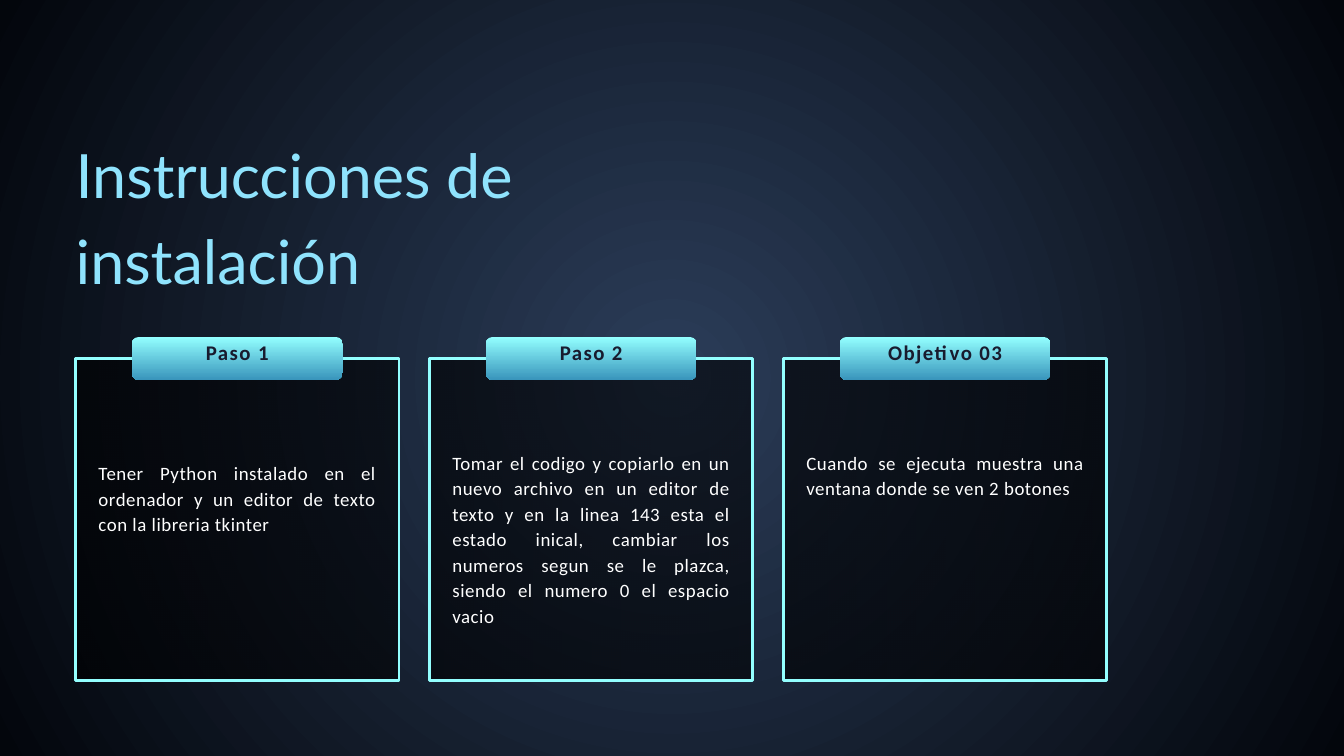
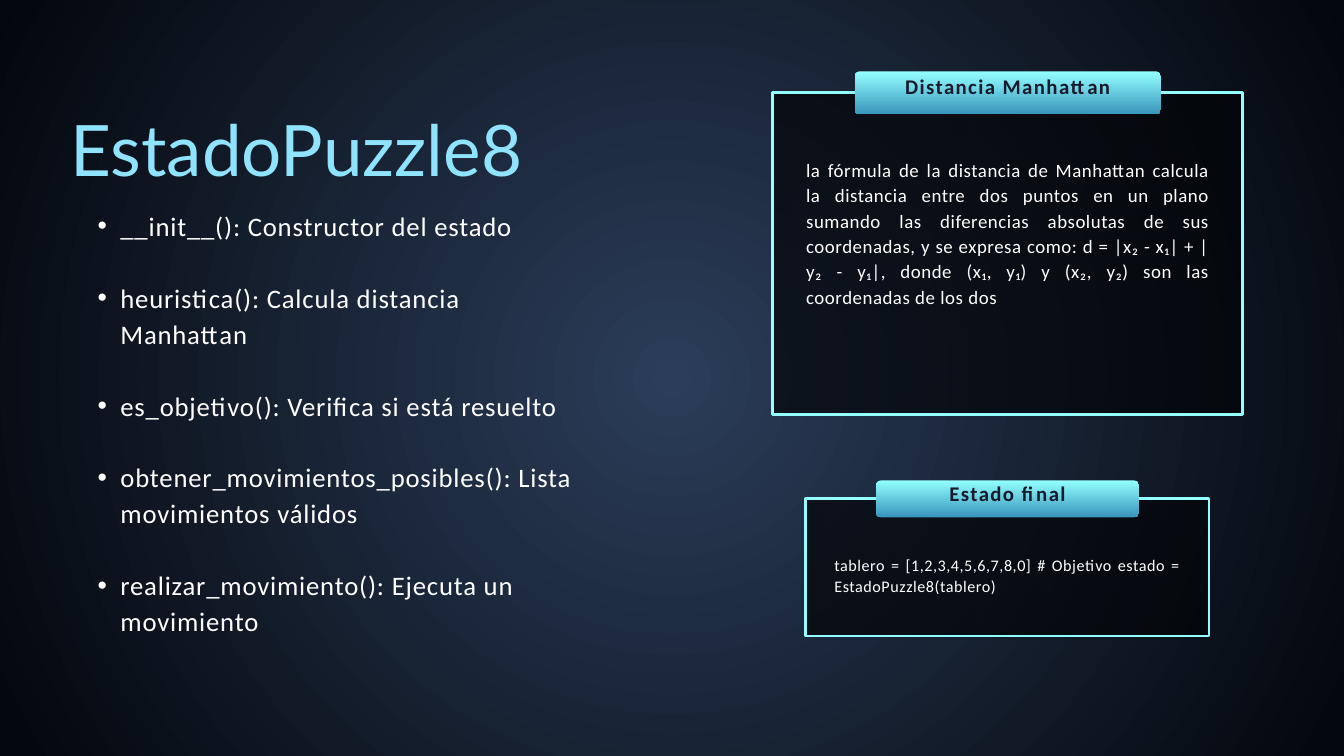
import pptx
import pptx.util
import pptx.dml.color
import pptx.enum.lang
import pptx.enum.shapes
import pptx.enum.text
import pptx.oxml
import pptx.oxml.ns

Pt = pptx.util.Pt
RGB = pptx.dml.color.RGBColor
ALIGN = pptx.enum.text.PP_ALIGN
ANCHOR = pptx.enum.text.MSO_ANCHOR
SHAPE = pptx.enum.shapes.MSO_SHAPE
qn = pptx.oxml.ns.qn

NAVY = RGB(0x2B, 0x3D, 0x59)
NIGHT = RGB(0x03, 0x06, 0x0C)
COAL = RGB(0x00, 0x01, 0x02)
BLACK = RGB(0, 0, 0)
CYAN = RGB(0x93, 0xFF, 0xFF)
BLUE = RGB(0x39, 0x95, 0xBC)
SKY = RGB(0x8F, 0xE3, 0xFD)
INK = RGB(0x18, 0x1B, 0x2E)
WHITE = RGB(255, 255, 255)

STEPS = [
    ("Paso 1", "Tener Python instalado en el ordenador y un editor de texto "
     "con la libreria tkinter", 108),
    ("Paso 2", "Tomar el codigo y copiarlo en un nuevo archivo en un editor de "
     "texto y en la linea 143 esta el estado inical, cambiar los numeros segun "
     "se le plazca, siendo el numero 0 el espacio vacio", 96.5),
    ("Objetivo 03", "Cuando se ejecuta muestra una ventana donde se ven "
     "2 botones", 96.5),
]
CALLS = [
    "__init__(): Constructor del estado",
    "heuristica(): Calcula distancia Manhattan",
    "es_objetivo(): Verifica si está resuelto",
    "obtener_movimientos_posibles(): Lista movimientos válidos",
    "realizar_movimiento(): Ejecuta un movimiento",
]
RULE = ("la fórmula de la distancia de Manhattan calcula la distancia entre dos "
        "puntos en un plano sumando las diferencias absolutas de sus "
        "coordenadas, y se expresa como: d = |x₂ - x₁| + |y₂ - y₁|, donde "
        "(x₁, y₁) y (x₂, y₂) son las coordenadas de los dos")
GOAL = "tablero = [1,2,3,4,5,6,7,8,0] # Objetivo estado = EstadoPuzzle8(tablero)"


def blend(fill, first, last, angle=0):
    """Fill with a two-colour gradient."""
    fill.gradient()
    fill.gradient_angle = angle
    for stop, tint in zip(fill.gradient_stops, (first, last)):
        stop.color.rgb = tint


def fade(shape, levels):
    """Set the opacity, in percent, of each gradient stop of a shape."""
    for tint, level in zip(shape.element.iter(qn("a:srgbClr")), levels):
        alpha = tint.makeelement(qn("a:alpha"), {"val": str(level * 1000)})
        tint.append(alpha)


def glow(slide):
    """Give the slide its round dark blue background."""
    blend(slide.background.fill, NAVY, NIGHT)
    grad = next(slide.element.iter(qn("a:gradFill")))
    grad.remove(grad.find(qn("a:lin")))
    ring = pptx.oxml.parse_xml(
        f'<a:path {pptx.oxml.ns.nsdecls("a")} path="circle">'
        '<a:fillToRect l="50000" t="50000" r="50000" b="50000"/></a:path>')
    grad.append(ring)


def place(shape, box):
    """Move a shape to a box and clear its text margins."""
    shape.left, shape.top, shape.width, shape.height = map(Pt, box)
    frame = shape.text_frame
    frame.word_wrap = True
    frame.auto_size = pptx.enum.text.MSO_AUTO_SIZE.NONE
    frame.vertical_anchor = ANCHOR.TOP
    frame.margin_left = frame.margin_right = 0
    frame.margin_top = frame.margin_bottom = 0
    return frame


def write(para, text, size, lead, tint=WHITE, face="Calibri",
          align=ALIGN.LEFT, track=0, bold=False):
    """Write one paragraph in one style."""
    para.text = text
    para.alignment = align
    para.line_spacing = Pt(lead)
    para.space_before = Pt(0)
    font = para.font
    font.name, font.size, font.bold = face, Pt(size), bold
    font.color.rgb = tint
    for run in para.runs:
        run.font.language_id = pptx.enum.lang.MSO_LANGUAGE_ID.SPANISH
        run.font._element.set("spc", str(round(track * 100)))


def head(slide, text, box, size, lead):
    """Fill the title placeholder."""
    frame = place(slide.shapes.title, box)
    write(frame.paragraphs[0], text, size, lead, SKY, "Lato")


def points(slide, items, box):
    """Fill the body placeholder with a spaced bullet list."""
    frame = place(slide.placeholders[1], box)
    for rank, item in enumerate(items):
        para = frame.add_paragraph() if rank else frame.paragraphs[0]
        write(para, item, 28.6, 38.5, track=0.9)
        para.space_before = Pt(38.5 if rank else 0)
        props = para._p.get_or_add_pPr()
        props.set("marL", str(Pt(48.5)))
        props.set("indent", str(-Pt(24.5)))


def card(slide, box, label, text, tab, drop, wide, size=20.2, lead=27.3):
    """Draw a framed card with a tab centred on its top edge."""
    left, top, width, height = box
    pane = slide.shapes.add_shape(SHAPE.RECTANGLE, *map(Pt, box))
    blend(pane.fill, COAL, BLACK)
    fade(pane, (63, 59))
    pane.line.color.rgb = CYAN
    pane.line.width = Pt(3)
    pane.shadow.inherit = False

    span, tall, curve = tab
    spot = (left + (width - span) / 2, top - tall / 2, span, tall)
    flag = slide.shapes.add_shape(SHAPE.ROUNDED_RECTANGLE, *map(Pt, spot))
    flag.adjustments[0] = curve / tall
    blend(flag.fill, CYAN, BLUE, 270)
    flag.line.fill.background()
    flag.shadow.inherit = False
    frame = place(flag, spot)
    frame.vertical_anchor = ANCHOR.MIDDLE
    frame.margin_bottom = Pt(tall * 0.4)
    write(frame.paragraphs[0], label, 22.3, 31.3, INK,
          align=ALIGN.CENTER, track=1.5, bold=True)

    area = (left + (width - wide) / 2, top + drop, wide, height - drop - 20)
    note = slide.shapes.add_textbox(*map(Pt, area))
    frame = place(note, area)
    write(frame.paragraphs[0], text, size, lead,
          align=ALIGN.JUSTIFY, track=0.6)


def setup(deck):
    """Build the slide with the installation steps."""
    slide = deck.slides.add_slide(deck.slide_layouts[5])
    glow(slide)
    head(slide, "Instrucciones de instalación", (81, 134.5, 758, 179), 65.4, 91.6)
    for rank, (label, text, drop) in enumerate(STEPS):
        box = (81 + rank * 379.2, 384, 346.5, 345)
        card(slide, box, label, text, (226, 46, 7.5), drop, 297.5)


def puzzle(deck):
    """Build the slide with the puzzle class."""
    slide = deck.slides.add_slide(deck.slide_layouts[1])
    glow(slide)
    head(slide, "EstadoPuzzle8", (75.5, 98, 644.5, 102), 76, 106.4)
    points(slide, CALLS, (80.5, 220.5, 540, 525))
    card(slide, (828, 99.5, 503.5, 345), "Distancia Manhattan", RULE,
         (328, 46, 5), 67, 432)
    card(slide, (863.5, 534.5, 432, 147), "Estado final", GOAL,
         (281.5, 39.5, 5), 57.5, 371, 17.3, 23.4)


def main():
    """Build and save the deck."""
    deck = pptx.Presentation()
    deck.slide_width, deck.slide_height = Pt(1440), Pt(810)
    setup(deck)
    puzzle(deck)
    deck.save("out.pptx")


if __name__ == "__main__":
    main()
